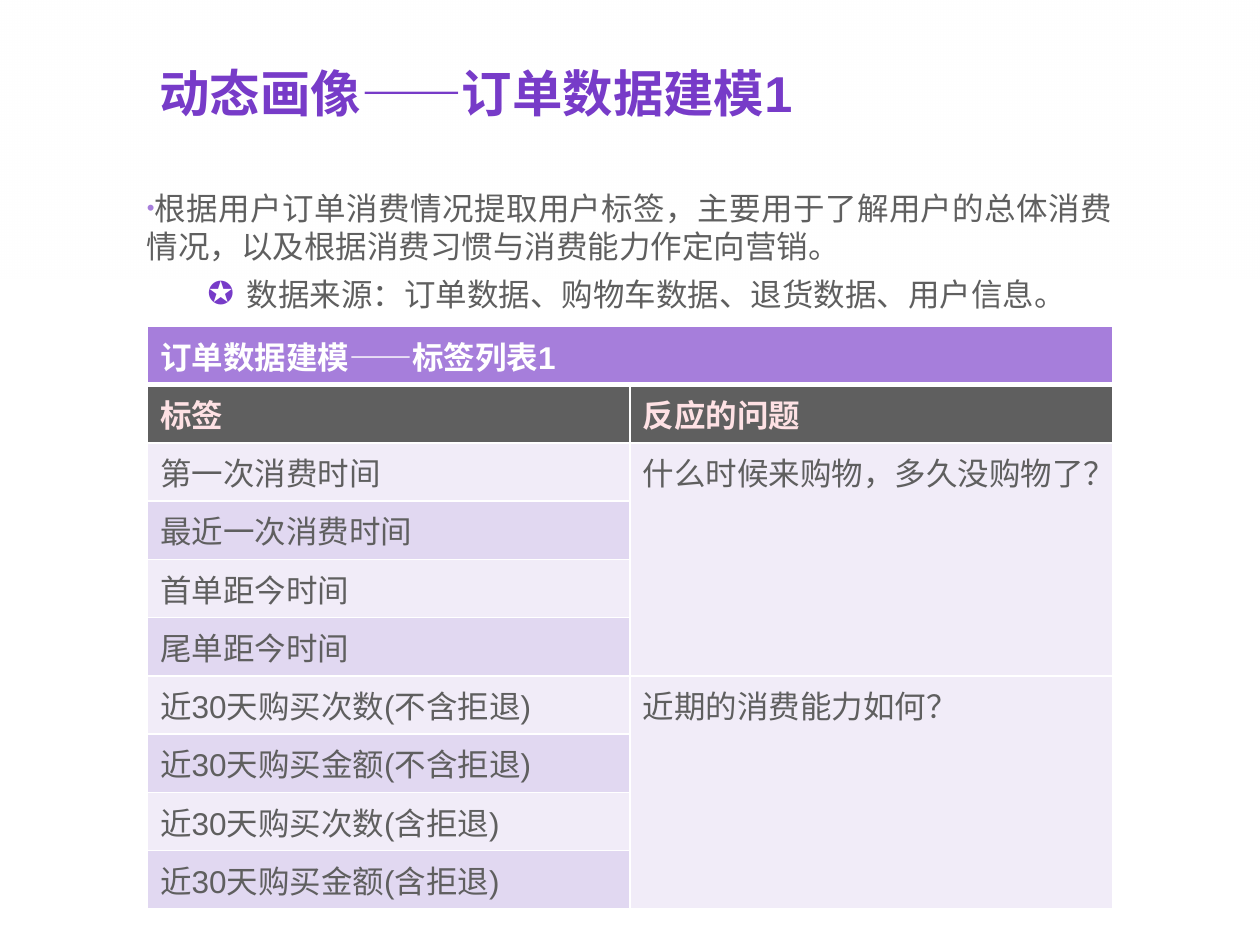
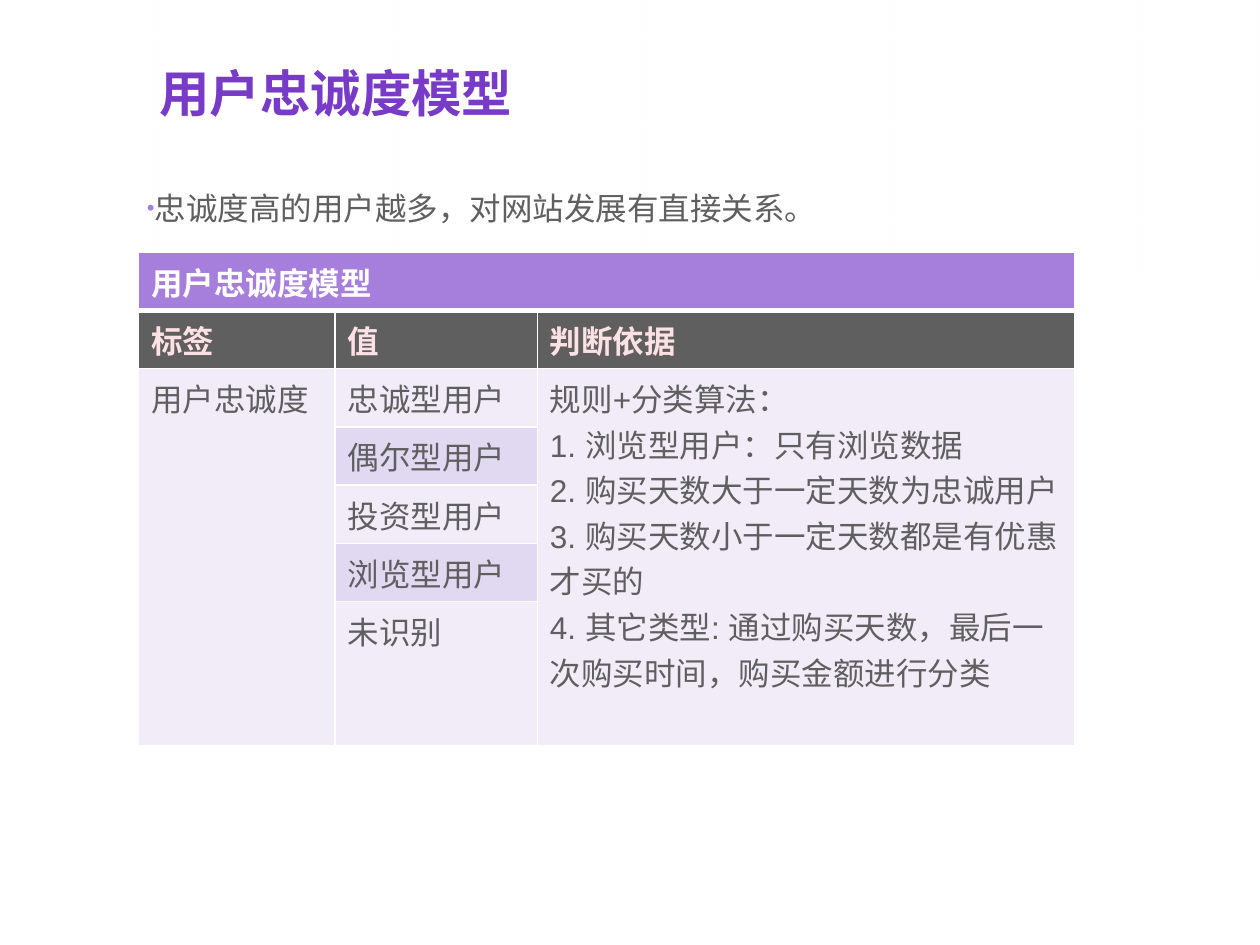
"""Build two slides on order-data modelling and the user loyalty model."""
from dataclasses import dataclass

from lxml import etree
from pptx import Presentation
from pptx.dml.color import RGBColor
from pptx.enum import shapes, text
from pptx.oxml import ns
from pptx.util import Pt


@dataclass(frozen=True)
class Theme:
    """Colours, font and type sizes shared by both slides."""
    font: str = "Arial"
    title_size: float = 28.8
    body_size: float = 18
    white: str = "FFFFFF"
    purple: str = "773BC8"
    light_purple: str = "A67EDB"
    grey: str = "5F5F5F"
    pink: str = "FEE1E4"
    bands: tuple = ("F1ECF8", "E1D8F1")


THEME = Theme()
SLIDE_WIDTH, SLIDE_HEIGHT = 720, 540
FADE_BOX = (0, 0, SLIDE_WIDTH, 159.12)
VEIL_BOX = (0, 0, SLIDE_WIDTH, SLIDE_HEIGHT)
TITLE_BOX = (84, 28.08, 552, 46.08)
BODY_BOX = (84, 108, 552, 396.72)
ROW_HEIGHT = 30
CELL_BORDER, HEADING_BORDER = 1, 3

MAIN_BULLET = {"char": "•", "color": THEME.light_purple, "size": 70,
               "left": 0, "hanging": 0}
SUB_BULLET = {"char": "✪", "color": THEME.purple, "size": 100,
              "left": 56.88, "hanging": 22.32}
BULLETS = (MAIN_BULLET, SUB_BULLET)


def apply_format(target, values):
    """Set every attribute named in values on the target."""
    for name, value in values.items():
        setattr(target, name, value)


def place(shape, box):
    """Move and size a shape to a box given in points."""
    names = ("left", "top", "width", "height")
    apply_format(shape, {name: Pt(value) for name, value in zip(names, box)})


def add_run(paragraph, words, color, size=THEME.body_size, bold=False):
    """Add one formatted run to a paragraph."""
    run = paragraph.add_run()
    run.text = words
    apply_format(run.font, {"name": THEME.font, "size": Pt(size), "bold": bold})
    run.font.color.rgb = RGBColor.from_string(color)


def add_child(parent, tag, **attributes):
    """Append a DrawingML element and return it."""
    return etree.SubElement(parent, ns.qn(tag), attributes)


def set_bullet(paragraph, bullet):
    """Give a paragraph its indents and a coloured bullet."""
    properties = paragraph._p.get_or_add_pPr()
    properties.set("marL", str(Pt(bullet["left"])))
    properties.set("indent", str(-Pt(bullet["hanging"])))
    color = add_child(properties, "a:buClr")
    add_child(color, "a:srgbClr", val=bullet["color"])
    add_child(properties, "a:buSzPct", val=str(bullet["size"] * 1000))
    add_child(properties, "a:buChar", char=bullet["char"])


def set_borders(cell, top, bottom):
    """Draw white borders around a cell, ahead of its fill."""
    properties = cell._tc.get_or_add_tcPr()
    sides = {"a:lnL": CELL_BORDER, "a:lnR": CELL_BORDER,
             "a:lnT": top, "a:lnB": bottom}
    for position, (tag, width) in enumerate(sides.items()):
        line = add_child(properties, tag, w=str(Pt(width)))
        fill = add_child(line, "a:solidFill")
        add_child(fill, "a:srgbClr", val=THEME.white)
        properties.insert(position, line)


def add_backdrop(presentation, slide):
    """Put a white fade and a white veil behind everything on the master."""
    tree = presentation.slide_master.shapes._spTree
    for number, (box, opacities) in enumerate(
            [(FADE_BOX, (100, 0)), (VEIL_BOX, (85,))]):
        shape = slide.shapes.add_shape(shapes.MSO_SHAPE.RECTANGLE,
                                       *(Pt(value) for value in box))
        shape.shadow.inherit = False
        shape.line.fill.background()
        if len(opacities) > 1:
            shape.fill.gradient()
            shape.fill.gradient_angle = 270
            colors = [stop.color for stop in shape.fill.gradient_stops]
        else:
            shape.fill.solid()
            colors = [shape.fill.fore_color]
        for color in colors:
            color.rgb = RGBColor.from_string(THEME.white)
        found = shape._element.spPr.iter(ns.qn("a:srgbClr"))
        for element, opacity in zip(list(found), opacities):
            add_child(element, "a:alpha", val=str(opacity * 1000))
        shape._element.nvSpPr.cNvPr.set("id", str(101 + number))
        tree.insert(2 + number, shape._element)


def fill_title(slide, words):
    """Write the slide title in its placeholder."""
    title = slide.shapes.title
    place(title, TITLE_BOX)
    frame = title.text_frame
    apply_format(frame, {"vertical_anchor": text.MSO_ANCHOR.BOTTOM,
                         "auto_size": text.MSO_AUTO_SIZE.NONE,
                         "word_wrap": True})
    paragraph = frame.paragraphs[0]
    apply_format(paragraph, {"alignment": text.PP_ALIGN.LEFT,
                             "line_spacing": 0.9})
    add_run(paragraph, words, THEME.purple, THEME.title_size, True)


def fill_body(slide, items):
    """Write the body list; each item is one level below the previous."""
    body = slide.placeholders[1]
    place(body, BODY_BOX)
    frame = body.text_frame
    apply_format(frame, {"margin_left": 0, "margin_right": 0,
                         "margin_top": 0, "margin_bottom": 0,
                         "vertical_anchor": text.MSO_ANCHOR.TOP,
                         "auto_size": text.MSO_AUTO_SIZE.NONE,
                         "word_wrap": True})
    for level, words in enumerate(items):
        paragraph = frame.add_paragraph() if level else frame.paragraphs[0]
        spacing = Pt(0 if level else 6)
        apply_format(paragraph, {"level": level, "line_spacing": 1.0,
                                 "alignment": text.PP_ALIGN.JUSTIFY,
                                 "space_before": spacing,
                                 "space_after": spacing})
        set_bullet(paragraph, BULLETS[level])
        add_run(paragraph, words, THEME.grey)


def cell_style(row):
    """Return fill colour, text colour and boldness for a table row."""
    if row == 0:
        return THEME.light_purple, THEME.white, True
    if row == 1:
        return THEME.grey, THEME.pink, True
    return THEME.bands[row % 2], THEME.grey, False


def add_label_table(slide, left, top, widths, rows, spans):
    """Add a table; None marks a cell covered by one of the merged spans."""
    shape = slide.shapes.add_table(len(rows), len(widths), Pt(left), Pt(top),
                                   Pt(sum(widths)), Pt(ROW_HEIGHT * len(rows)))
    table = shape.table
    apply_format(table, {"first_row": False, "horz_banding": False})
    for column, width in zip(table.columns, widths):
        column.width = Pt(width)
    for row, values in enumerate(rows):
        table.rows[row].height = Pt(ROW_HEIGHT)
        fill, color, bold = cell_style(row)
        for column, words in enumerate(values):
            cell = table.cell(row, column)
            cell.fill.solid()
            cell.fill.fore_color.rgb = RGBColor.from_string(fill)
            set_borders(cell,
                        top=HEADING_BORDER if row == 1 else CELL_BORDER,
                        bottom=HEADING_BORDER if row == 0 else CELL_BORDER)
            if words is None:
                continue
            frame = cell.text_frame
            for number, line in enumerate(words.split("\n")):
                paragraph = (frame.add_paragraph() if number
                             else frame.paragraphs[0])
                add_run(paragraph, line, color, bold=bold)
    for row, column, last_row, last_column in spans:
        table.cell(row, column).merge(table.cell(last_row, last_column))


def add_content_slide(presentation, title, items):
    """Add a slide with its title and body list."""
    slide = presentation.slides.add_slide(presentation.slide_layouts[1])
    fill_title(slide, title)
    fill_body(slide, items)
    return slide


def add_order_slide(presentation):
    """Build the slide on labels drawn from order data."""
    slide = add_content_slide(presentation, "动态画像——订单数据建模1", [
        "根据用户订单消费情况提取用户标签，主要用于了解用户的总体消费情况，"
        "以及根据消费习惯与消费能力作定向营销。",
        "数据来源：订单数据、购物车数据、退货数据、用户信息。",
    ])
    rows = [
        ("订单数据建模——标签列表1", None),
        ("标签", "反应的问题"),
        ("第一次消费时间", "什么时候来购物，多久没购物了？"),
        ("最近一次消费时间", None),
        ("首单距今时间", None),
        ("尾单距今时间", None),
        ("近30天购买次数(不含拒退)", "近期的消费能力如何？"),
        ("近30天购买金额(不含拒退)", None),
        ("近30天购买次数(含拒退)", None),
        ("近30天购买金额(含拒退)", None),
    ]
    add_label_table(slide, 84.24, 186.48, (275.76, 275.76), rows,
                    spans=[(0, 0, 0, 1), (2, 1, 5, 1), (6, 1, 9, 1)])
    return slide


def add_loyalty_slide(presentation):
    """Build the slide on the user loyalty model."""
    slide = add_content_slide(presentation, "用户忠诚度模型", [
        "忠诚度高的用户越多，对网站发展有直接关系。",
    ])
    criteria = "\n".join([
        "规则+分类算法：",
        "1. 浏览型用户：只有浏览数据",
        "2. 购买天数大于一定天数为忠诚用户",
        "3. 购买天数小于一定天数都是有优惠才买的",
        "4. 其它类型: 通过购买天数，最后一次购买时间，购买金额进行分类",
    ])
    rows = [
        ("用户忠诚度模型", None, None),
        ("标签", "值", "判断依据"),
        ("用户忠诚度", "忠诚型用户", criteria),
        (None, "偶尔型用户", None),
        (None, "投资型用户", None),
        (None, "浏览型用户", None),
        (None, "未识别", None),
    ]
    add_label_table(slide, 79.2, 144.1, (112.2, 115.7, 307), rows,
                    spans=[(0, 0, 0, 2), (2, 0, 6, 0), (2, 2, 6, 2)])


def main():
    """Create the presentation and save it."""
    presentation = Presentation()
    apply_format(presentation, {"slide_width": Pt(SLIDE_WIDTH),
                                "slide_height": Pt(SLIDE_HEIGHT)})
    order_slide = add_order_slide(presentation)
    add_backdrop(presentation, order_slide)
    add_loyalty_slide(presentation)
    presentation.save("out.pptx")


main()
